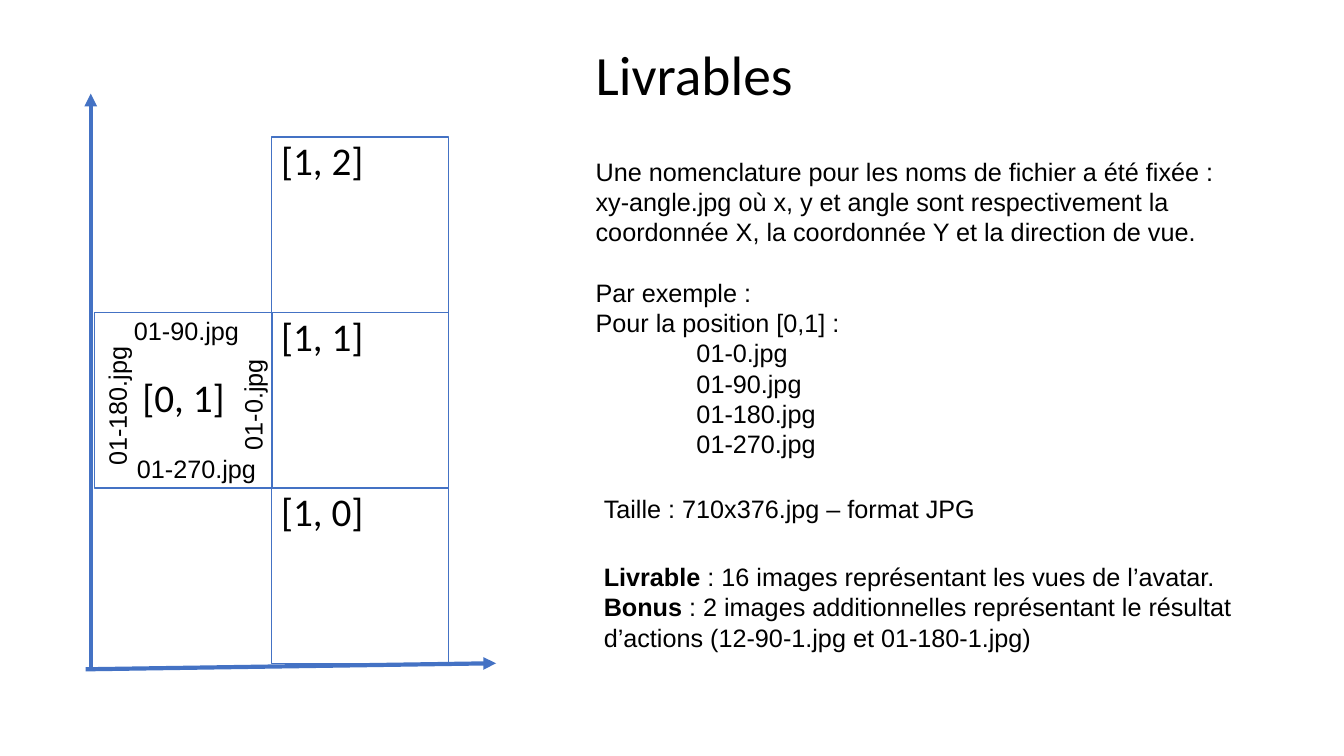
from lxml import etree
from pptx import Presentation
from pptx.dml.color import RGBColor
from pptx.enum.shapes import MSO_CONNECTOR, MSO_SHAPE
from pptx.enum.text import MSO_ANCHOR, PP_ALIGN
from pptx.oxml.ns import qn
from pptx.util import Pt

PX = 9144  # EMU per px, 100 px to the inch
RECT, STRAIGHT = MSO_SHAPE.RECTANGLE, MSO_CONNECTOR.STRAIGHT
TOP, MIDDLE = MSO_ANCHOR.TOP, MSO_ANCHOR.MIDDLE
LEFT, CENTER = PP_ALIGN.LEFT, PP_ALIGN.CENTER

THEME = {
    "ink": RGBColor(0x00, 0x00, 0x00), "blue": RGBColor(0x44, 0x72, 0xC4),
    "heading": "Calibri", "body": "Arial",
    "title_pt": 39.6, "cell_pt": 28, "body_pt": 18,
    "cell_line": 1, "axis_line": 3,
}

# Content: a paragraph is a list of (text, bold) runs
TITLE = "Livrables"
NAMING = ("Une nomenclature pour les noms de fichier a été fixée : xy-angle.jpg "
          "où x, y et angle sont respectivement la coordonnée X, la coordonnée Y "
          "et la direction de vue.")
EXAMPLE = ["Par exemple :", "Pour la position [0,1] :"]
FILES = ["01-0.jpg", "01-90.jpg", "01-180.jpg", "01-270.jpg"]
SIZE_NOTE = "Taille : 710x376.jpg – format JPG"
DELIVERABLES = [
    [("Livrable", True), (" : 16 images représentant les vues de l’avatar.", False)],
    [("Bonus", True), (" : 2 images additionnelles représentant le résultat "
                       "d’actions (12-90-1.jpg et 01-180-1.jpg)", False)],
]
POSITIONS = [(0, 1), (1, 1), (1, 2), (1, 0)]
VIEWS = [  # file name, box, rotation
    (FILES[0], (193, 379, 115, 40), 270),
    (FILES[2], (45, 381, 142, 40), 270),
    (FILES[1], (123, 308, 135, 40), 0),
    (FILES[3], (126, 445, 145, 40), 0),
]
AXES = [(85, 664, 492, 658), (90, 664, 90, 93)]

# Layout
GRID_LEFT, GRID_BOTTOM = 94, 658
COLUMN, ROW, CELL_WIDTH = 175, 174, 176
TEXT_LEFT, NOTE_LEFT = 581, 589
TEXT_WIDTH, NOTE_WIDTH = 660, 667
INDENT, BLANK_LINE = 100, 21.6

prs = Presentation()
prs.slide_width, prs.slide_height = 1333 * PX, 750 * PX
slide = prs.slides.add_slide(prs.slide_layouts[6])


def emu(lengths):
    return [length * PX for length in lengths]


def write(shape, paragraphs, font=THEME["body"], size=THEME["body_pt"],
          anchor=TOP, align=LEFT, spacing=None, before=None, rotation=0):
    """Fill a shape with text; each paragraph is a string or a list of runs."""
    shape.rotation = rotation
    frame = shape.text_frame
    frame.word_wrap, frame.vertical_anchor = True, anchor
    for i, runs in enumerate(paragraphs):
        paragraph = frame.paragraphs[0] if i == 0 else frame.add_paragraph()
        paragraph.alignment = align
        if spacing:
            paragraph.line_spacing = spacing
        if before:
            paragraph.space_before = Pt(before)
        for text, bold in [(runs, False)] if isinstance(runs, str) else runs:
            run = paragraph.add_run()
            run.text = text
            run.font.name, run.font.size, run.font.bold = font, Pt(size), bold
            run.font.color.rgb = THEME["ink"]
    return frame


def text_box(box, paragraphs, **text_format):
    return write(slide.shapes.add_textbox(*emu(box)), paragraphs, **text_format)


# Title
text_box((TEXT_LEFT, 40, TEXT_WIDTH, 73), [TITLE], font=THEME["heading"],
         size=THEME["title_pt"], anchor=MIDDLE, spacing=0.9)

# Grid of positions, y growing upwards
for x, y in POSITIONS:
    corner = (GRID_LEFT + x * COLUMN, GRID_BOTTOM - (y + 1) * ROW)
    cell = slide.shapes.add_shape(RECT, *emu((*corner, CELL_WIDTH, ROW)))
    cell.shadow.inherit = False
    cell.fill.background()
    cell.line.color.rgb, cell.line.width = THEME["blue"], Pt(THEME["cell_line"])
    has_views = x == 0
    write(cell, [f"[{x}, {y}]"], font=THEME["heading"], size=THEME["cell_pt"],
          anchor=MIDDLE if has_views else TOP,
          align=CENTER if has_views else LEFT, spacing=0.9, before=10)

# Axes
for ends in AXES:
    axis = slide.shapes.add_connector(STRAIGHT, *emu(ends))
    axis.line.color.rgb, axis.line.width = THEME["blue"], Pt(THEME["axis_line"])
    etree.SubElement(axis.line._get_or_add_ln(), qn("a:tailEnd"), type="triangle")
    etree.SubElement(axis._element.spPr, qn("a:effectLst"))

# Naming rule and example
naming = text_box((TEXT_LEFT, 150, TEXT_WIDTH, 313), [NAMING, *EXAMPLE, *FILES])
naming.paragraphs[1].space_before = Pt(BLANK_LINE)
for file_line in naming.paragraphs[-len(FILES):]:
    file_line._p.get_or_add_pPr().set("marL", str(INDENT * PX))

# View names around position [0, 1]
for file_name, box, rotation in VIEWS:
    text_box(box, [file_name], rotation=rotation)

# Size and deliverables
text_box((NOTE_LEFT, 484, NOTE_WIDTH, 40), [SIZE_NOTE])
text_box((NOTE_LEFT, 552, NOTE_WIDTH, 101), DELIVERABLES)

prs.save("out.pptx")
